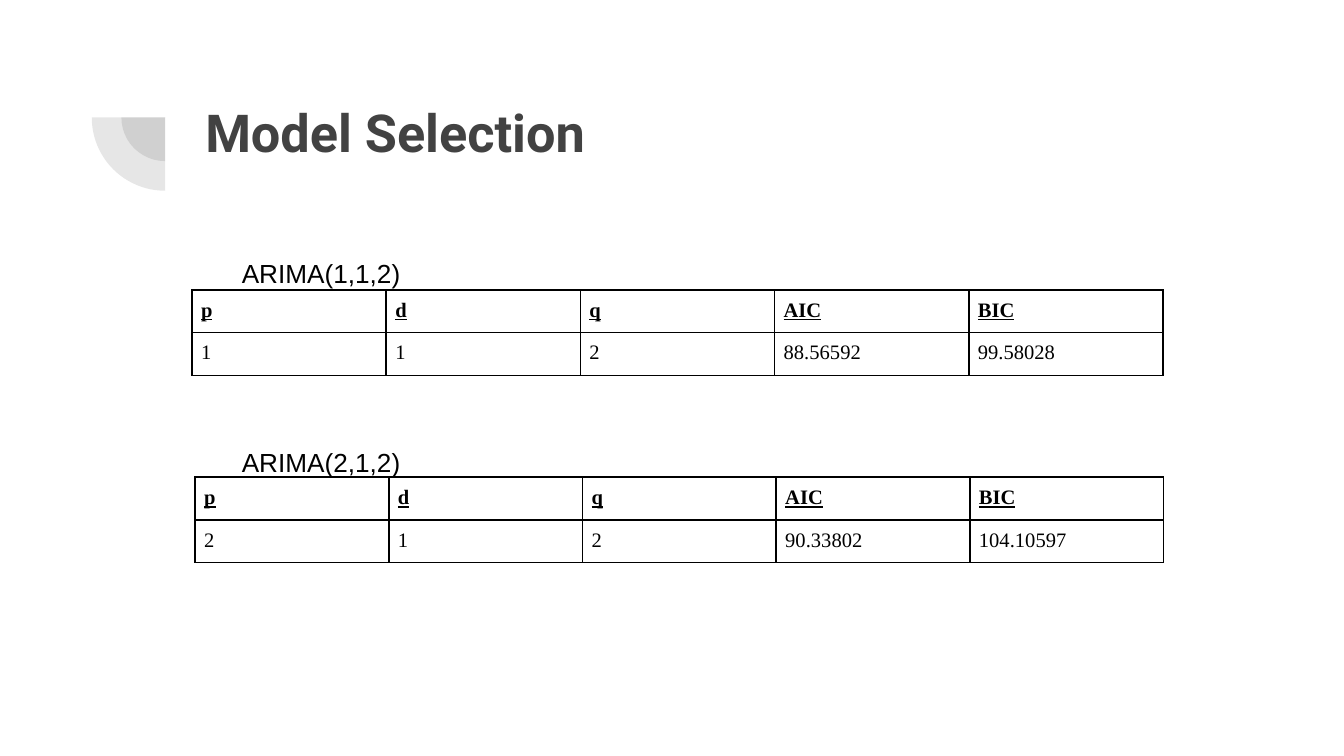
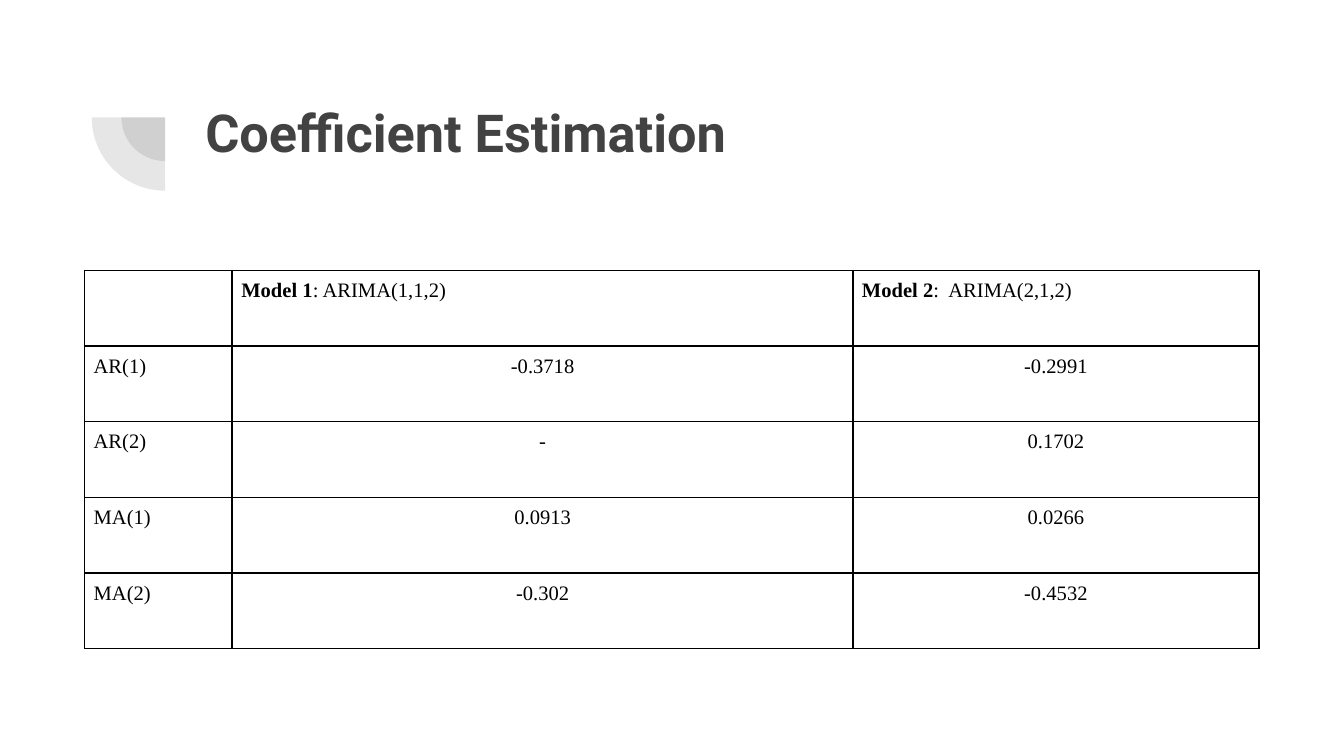
from lxml import etree
from pptx import Presentation
from pptx import util as u
from pptx.dml.color import RGBColor
from pptx.enum import shapes, text
from pptx.oxml import ns

Cm = u.Cm

BLACK = RGBColor(0x00, 0x00, 0x00)
CHARCOAL = RGBColor(0x42, 0x42, 0x42)

TITLE_FONT = "Roboto"
LABEL_FONT = "Arial"
TABLE_FONT = "Times New Roman"

INSET = Cm(0.25)
CELL_INSET = Cm(0.17)

SELECTION_HEADER = ["p", "d", "q", "AIC", "BIC"]
# label, label top, table left, table top, column width, values
SELECTION_MODELS = [
    ("ARIMA(1,1,2)", 4.62, 3.63, 5.48, 3.67,
     ["1", "1", "2", "88.56592", "99.58028"]),
    ("ARIMA(2,1,2)", 8.18, 3.69, 9.02, 3.66,
     ["2", "1", "2", "90.33802", "104.10597"]),
]

COEFFICIENT_MODELS = [("Model 1", ": ARIMA(1,1,2)"), ("Model 2", ":  ARIMA(2,1,2)")]
COEFFICIENTS = [
    ("AR(1)", "-0.3718", "-0.2991"),
    ("AR(2)", "-", "0.1702"),
    ("MA(1)", "0.0913", "0.0266"),
    ("MA(2)", "-0.302", "-0.4532"),
]


def add_run(paragraph, words, font, size, color=BLACK, bold=False, underline=False):
    run = paragraph.add_run()
    run.text = words
    run.font.name = font
    run.font.size = u.Pt(size)
    run.font.color.rgb = color
    run.font.bold = bold
    run.font.underline = underline


def add_text(slide, words, left, top, width, height, **style):
    box = slide.shapes.add_textbox(Cm(left), Cm(top), Cm(width), Cm(height))
    frame = box.text_frame
    frame.word_wrap = True
    frame.vertical_anchor = text.MSO_ANCHOR.TOP
    frame.margin_left = frame.margin_right = INSET
    frame.margin_top = frame.margin_bottom = INSET
    add_run(frame.paragraphs[0], words, **style)


def add_quarter_disc(slide, diameter):
    """Add a translucent lower-left quarter disc around the shared centre."""
    left, top = Cm(3.12 - diameter / 2), Cm(2.22 - diameter / 2)
    disc = slide.shapes.add_shape(
        shapes.MSO_SHAPE.PIE, left, top, Cm(diameter), Cm(diameter))
    disc.adjustments[0] = 108
    disc.adjustments[1] = 162
    disc.rotation = 270
    disc.shadow.inherit = False
    disc.line.fill.background()
    disc.fill.solid()
    disc.fill.fore_color.rgb = CHARCOAL
    color = disc.element.spPr.find(ns.qn("a:solidFill")).find(ns.qn("a:srgbClr"))
    etree.SubElement(color, ns.qn("a:alpha"), val="13000")


def add_titled_slide(presentation, title):
    slide = presentation.slides.add_slide(presentation.slide_layouts[6])
    for diameter in (1.65, 2.77):
        add_quarter_disc(slide, diameter)
    add_text(slide, title, 3.63, 1.65, 19.53, 2.77,
             font=TITLE_FONT, size=28, color=CHARCOAL, bold=True)
    return slide


def add_borders(cell):
    properties = cell._tc.get_or_add_tcPr()
    for position, side in enumerate(("lnL", "lnR", "lnT", "lnB")):
        line = etree.Element(ns.qn(f"a:{side}"), w=str(u.Pt(1)))
        fill = etree.SubElement(line, ns.qn("a:solidFill"))
        etree.SubElement(fill, ns.qn("a:srgbClr"), val=str(BLACK))
        properties.insert(position, line)


def add_grid(slide, left, top, column_widths, row_height, row_count):
    """Add an unfilled table with black borders and return it."""
    frame = slide.shapes.add_table(
        row_count, len(column_widths), Cm(left), Cm(top),
        Cm(sum(column_widths)), Cm(row_height * row_count))
    table = frame.table
    table.first_row = table.horz_banding = False
    for column, width in zip(table.columns, column_widths):
        column.width = Cm(width)
    for row in table.rows:
        row.height = Cm(row_height)
    for cell in table.iter_cells():
        cell.margin_left = cell.margin_right = CELL_INSET
        cell.margin_top = cell.margin_bottom = CELL_INSET
        cell.fill.background()
        add_borders(cell)
    return table


def write_cell(cell, words, centered=False, **style):
    paragraph = cell.text_frame.paragraphs[0]
    if centered:
        paragraph.alignment = text.PP_ALIGN.CENTER
    add_run(paragraph, words, TABLE_FONT, 11, **style)


def add_model_selection(presentation):
    slide = add_titled_slide(presentation, "Model Selection")
    for label, label_top, left, top, width, values in SELECTION_MODELS:
        table = add_grid(slide, left, top, [width] * len(values), 0.79, 2)
        for column, (heading, value) in enumerate(zip(SELECTION_HEADER, values)):
            write_cell(table.cell(0, column), heading, bold=True, underline=True)
            write_cell(table.cell(1, column), value)
        add_text(slide, label, 4.32, label_top, 5.4, 0.68, font=LABEL_FONT, size=14)


def add_coefficient_estimation(presentation):
    slide = add_titled_slide(presentation, "Coefficient Estimation")
    table = add_grid(slide, 1.6, 5.11, [2.79, 11.73, 7.67], 1.43,
                     len(COEFFICIENTS) + 1)
    for column, (name, formula) in enumerate(COEFFICIENT_MODELS, start=1):
        write_cell(table.cell(0, column), name, bold=True)
        write_cell(table.cell(0, column), formula)
    for row, values in enumerate(COEFFICIENTS, start=1):
        for column, value in enumerate(values):
            write_cell(table.cell(row, column), value, centered=column > 0)


def main():
    presentation = Presentation()
    presentation.slide_width = Cm(25.4)
    presentation.slide_height = Cm(14.29)
    add_model_selection(presentation)
    add_coefficient_estimation(presentation)
    presentation.save("out.pptx")


if __name__ == "__main__":
    main()
